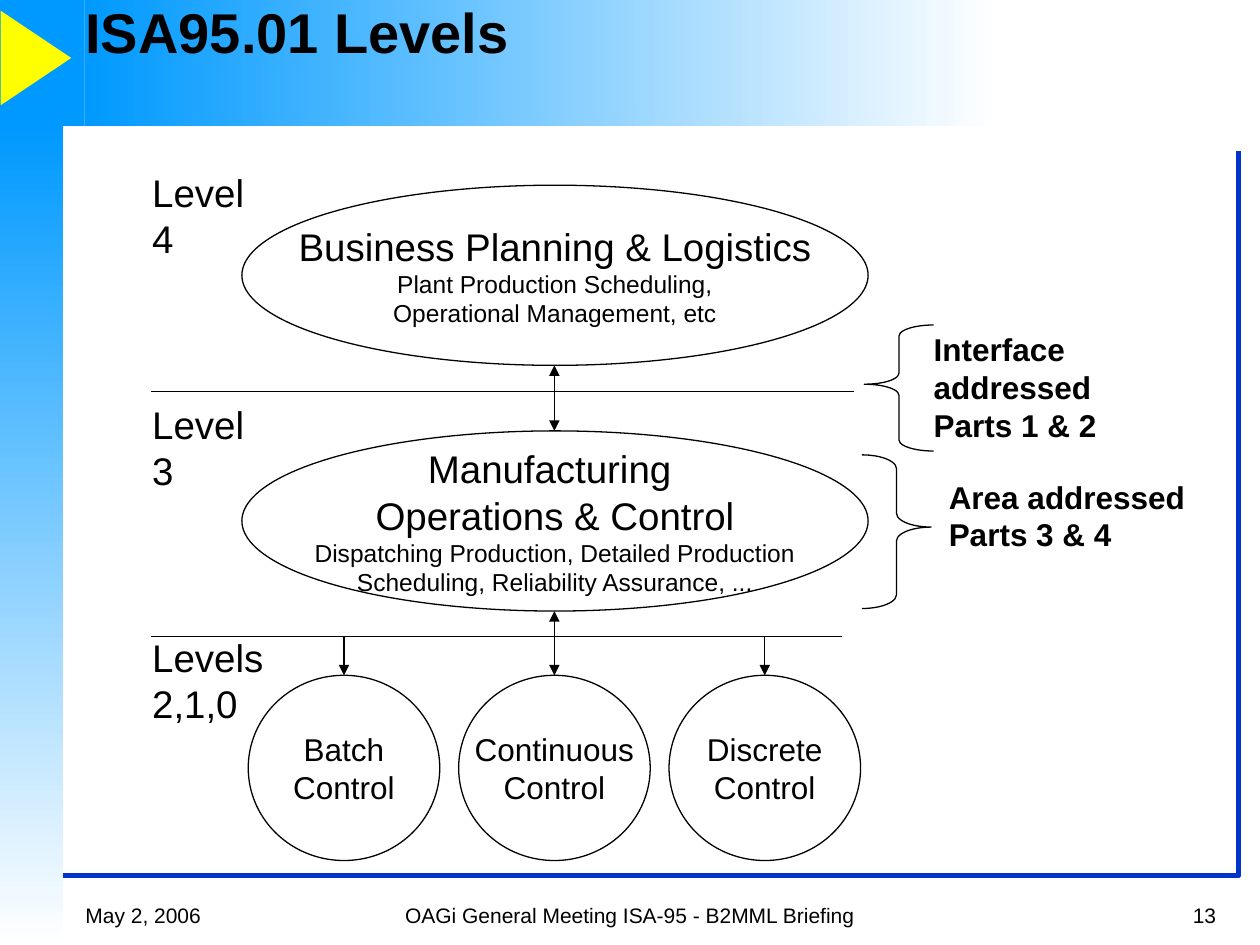
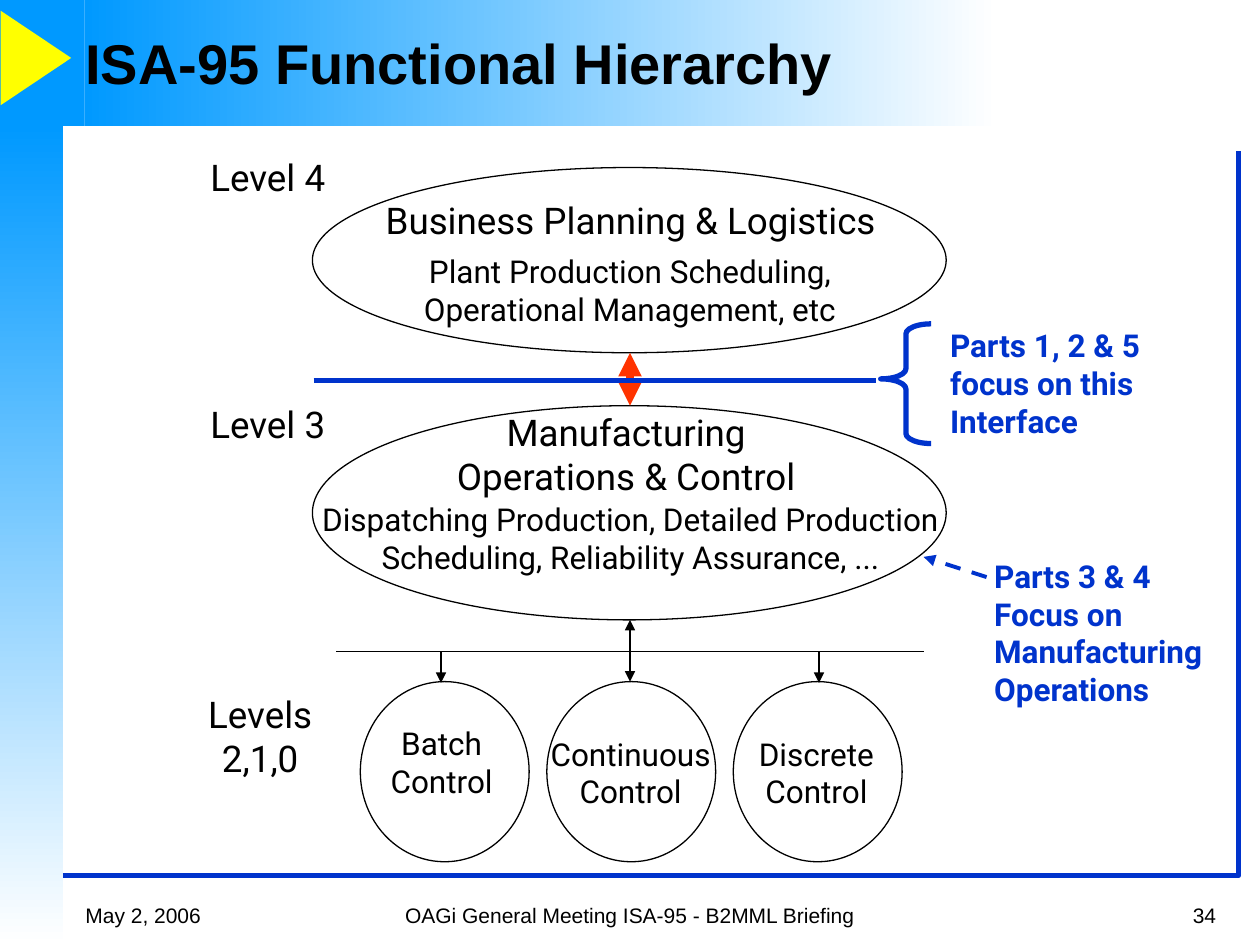
"""Build two slides on the ISA-95 functional levels."""
from lxml import etree
from pptx import Presentation
from pptx import util as u
from pptx.dml import color as dml_color
from pptx.enum import dml, shapes, text
from pptx.oxml import ns

Inches, Pt = u.Inches, u.Pt
color = dml_color.RGBColor.from_string
SHAPE, ALIGN, ANCHOR = shapes.MSO_SHAPE, text.PP_ALIGN, text.MSO_ANCHOR
BLACK, WHITE, SKY, BLUE, RED, YELLOW = "000000", "FFFFFF", "0099FF", "0033CC", "FF3300", "FFFF00"


def draw(slide, words, box, kind=None, fill=None, line=None, weight=0.75, detail="",
         size=18, detail_size=14, font="Arial", ink=BLACK, bold=False, align=ALIGN.LEFT,
         anchor=ANCHOR.TOP, insets=(0.1, 0.05), wrap=False):
    """Add a text box, or a preset shape when kind is given."""
    area = [Inches(length) for length in box]
    if kind is None:
        shape = slide.shapes.add_textbox(*area)
    else:
        shape = slide.shapes.add_shape(kind, *area)
        shape.shadow.inherit = False
        if fill:
            shape.fill.solid()
            shape.fill.fore_color.rgb = color(fill)
        else:
            shape.fill.background()
        if line:
            shape.line.color.rgb = color(line)
            shape.line.width = Pt(weight)
        else:
            shape.line.fill.background()
    if not words:
        return shape
    frame = shape.text_frame
    frame.word_wrap = wrap
    frame.vertical_anchor = anchor
    frame.margin_left = frame.margin_right = Inches(insets[0])
    frame.margin_top = frame.margin_bottom = Inches(insets[1])
    if kind is None and not wrap:
        frame.auto_size = text.MSO_AUTO_SIZE.SHAPE_TO_FIT_TEXT
    rows = [(row, size) for row in words.split("\n")]
    rows += [(row, detail_size) for row in detail.split("\n") if row]
    for index, (row, row_size) in enumerate(rows):
        paragraph = frame.add_paragraph() if index else frame.paragraphs[0]
        paragraph.alignment = align
        run = paragraph.add_run()
        run.text = row
        run.font.name, run.font.size, run.font.bold = font, Pt(row_size), bold
        run.font.color.rgb = color(ink)
    return shape


def connect(slide, start, end, ink=BLACK, weight=0.75, ends=(), dash=None):
    """Add a straight line with arrowheads at the named ends."""
    points = [Inches(length) for length in (*start, *end)]
    connector = slide.shapes.add_connector(shapes.MSO_CONNECTOR.STRAIGHT, *points)
    connector.line.color.rgb = color(ink)
    connector.line.width = Pt(weight)
    if dash:
        connector.line.dash_style = dash
    outline = connector.line._get_or_add_ln()
    for name in ends:
        etree.SubElement(outline, ns.qn(f"a:{name}"), type="triangle")
    etree.SubElement(connector._element.spPr, ns.qn("a:effectLst"))


BOTH, TAIL = ("headEnd", "tailEnd"), ("tailEnd",)
presentation = Presentation()
presentation.slide_width, presentation.slide_height = Inches(10), Inches(7.5)

titles = [
    ("ISA95.01 Levels", (0.58, 0, 7.33, 0.5), "13"),
    ("ISA-95 Functional Hierarchy", (0.58, 0.08, 7.33, 0.83), "34"),
]
bands = [
    ((7.67, 0, 2.33, 1.17), WHITE, None),
    ((0.67, 0, 7.25, 1), SKY, 0),
    ((0, 1, 0.5, 6.5), SKY, 270),
    ((9.75, 1.17, 0.25, 6.33), WHITE, None),
    ((0, 0, 0.67, 1), SKY, None),
]
for title, title_box, number in titles:
    slide = presentation.slides.add_slide(presentation.slide_layouts[6])
    for box, fill, angle in bands:
        band = draw(slide, "", box, SHAPE.RECTANGLE, fill=fill)
        if angle is not None:
            band.fill.gradient()
            band.fill.gradient_angle = angle
            for stop, position, shade in zip(band.fill.gradient_stops, (0, 1), (SKY, WHITE)):
                stop.position = position
                stop.color.rgb = color(shade)
    pointer = draw(slide, "", (-0.09, 0.18, 0.75, 0.56), SHAPE.ISOSCELES_TRIANGLE, fill=YELLOW)
    pointer.rotation = 90
    builder = slide.shapes.build_freeform(Inches(0.5), Inches(6.95))
    builder.add_line_segments(
        [(Inches(9.83), Inches(6.95)), (Inches(9.83), Inches(1.2))], close=False)
    border = builder.convert_to_shape()
    border.shadow.inherit = False
    border.fill.background()
    border.line.color.rgb = color(BLUE)
    border.line.width = Pt(3)
    draw(slide, title, title_box, size=32, bold=True, anchor=ANCHOR.MIDDLE,
         insets=(0.1, 0), wrap=True)
    for words, left, width, align in [
        ("May 2, 2006", 0.58, 2.08, ALIGN.LEFT),
        ("OAGi General Meeting ISA-95 - B2MML Briefing", 2.75, 4.5, ALIGN.CENTER),
        (number, 7.67, 2.08, ALIGN.RIGHT),
    ]:
        draw(slide, words, (left, 7.08, width, 0.33), size=12, align=align,
             anchor=ANCHOR.BOTTOM, wrap=True)

levels, hierarchy = presentation.slides
planning = "Plant Production Scheduling,\nOperational Management, etc"
dispatching = "Dispatching Production, Detailed Production\nScheduling, Reliability Assurance, ..."
controls = ["Batch\nControl", "Continuous\nControl", "Discrete\nControl"]

centered = dict(align=ALIGN.CENTER, anchor=ANCHOR.MIDDLE)
oval = dict(kind=SHAPE.OVAL, fill=WHITE, line=BLACK)
for words, detail, top in [
    ("Business Planning & Logistics", planning, 1.47),
    ("Manufacturing \nOperations & Control", dispatching, 3.42),
]:
    draw(levels, words, (1.92, top, 4.97, 1.43), detail=detail, size=22, **oval, **centered)
for index, words in enumerate(controls):
    draw(levels, words, (1.97 + 1.67 * index, 5.36, 1.52, 1.47), **oval, **centered)
for words, top, width, height in [
    ("Level 4", 1.29, 1.18, 0.47),
    ("Level 3", 3.13, 1.18, 0.47),
    ("Levels\n2,1,0", 4.98, 1.08, 0.83),
]:
    draw(levels, words, (1.11, top, width, height), size=22)
for start, end, ends in [
    ((1.2, 3.11), (6.78, 3.11), ()),
    ((1.2, 5.05), (6.68, 5.05), ()),
    ((4.4, 2.9), (4.4, 3.42), BOTH),
    ((4.4, 4.85), (4.4, 5.36), BOTH),
    ((2.73, 5.05), (2.73, 5.36), TAIL),
    ((6.07, 5.05), (6.07, 5.36), TAIL),
]:
    connect(levels, start, end, ends=ends)
for words, box in [
    ("Interface addressed\nParts 1 & 2", (7.32, 2.58, 2.54, 0.69)),
    ("Area addressed\nParts 3 & 4", (7.44, 3.75, 2.06, 0.69)),
]:
    draw(levels, words, box, bold=True, insets=(0.09, 0.04))

roboto = dict(font="Roboto", insets=(0, 0))
for box in [(2.48, 1.33, 5.03, 1.47), (2.48, 3.22, 5.03, 1.7)]:
    draw(hierarchy, "", box, **oval)
for index in range(3):
    draw(hierarchy, "", (2.86 + 1.48 * index, 5.41, 1.34, 1.43), **oval)
for words, box, size in [
    ("Business Planning & Logistics", (2.98, 1.57, 4.05, 0.35), 21),
    (planning, (3.24, 2, 3.52, 0.6), 18),
    ("Manufacturing\nOperations & Control", (3.51, 3.25, 2.92, 0.7), 21),
    (dispatching, (2.39, 3.97, 5.23, 0.6), 18),
    (controls[0], (3.07, 5.75, 0.87, 0.6), 18),
    (controls[1], (4.33, 5.83, 1.35, 0.6), 18),
    (controls[2], (6, 5.83, 0.96, 0.6), 18),
    ("Level 4", (1.65, 1.23, 0.95, 0.35), 21),
    ("Level 3", (1.65, 3.19, 0.95, 0.35), 21),
    ("Levels\n2,1,0", (1.64, 5.49, 0.85, 0.7), 21),
]:
    draw(hierarchy, words, box, size=size, align=ALIGN.CENTER, **roboto)
for words, box in [
    ("Parts 1, 2 & 5\nfocus on this\nInterface", (7.54, 2.59, 1.6, 0.9)),
    ("Parts 3 & 4\nFocus on\nManufacturing\nOperations", (7.89, 4.42, 1.88, 1.2)),
]:
    draw(hierarchy, words, box, ink=BLUE, bold=True, **roboto)
connect(hierarchy, (5, 2.8), (5, 3.22), ink=RED, weight=4.5, ends=BOTH)
connect(hierarchy, (2.49, 3.02), (6.95, 3.02), ink=BLUE, weight=3)
connect(hierarchy, (7.83, 4.58), (7.33, 4.42), ink=BLUE, weight=2.25, ends=TAIL,
        dash=dml.MSO_LINE.DASH)
connect(hierarchy, (2.67, 5.17), (7.33, 5.17))
connect(hierarchy, (5, 4.92), (5, 5.41), ends=BOTH)
for x in (3.5, 6.5):
    connect(hierarchy, (x, 5.17), (x, 5.42), ends=TAIL)

for slide, kind, box, ink, weight, curve, tip in [
    (levels, SHAPE.LEFT_BRACE, (6.86, 2.58, 0.55, 1), BLACK, 0.75, 0.16, 0.47),
    (levels, SHAPE.RIGHT_BRACE, (6.84, 3.61, 0.55, 1.22), BLACK, 0.75, 0.2, 0.47),
    (hierarchy, SHAPE.LEFT_BRACE, (6.99, 2.57, 0.4, 0.95), BLUE, 3, 0.2, 0.46),
]:
    brace = draw(slide, "", box, kind, line=ink, weight=weight)
    brace.adjustments[0], brace.adjustments[1] = curve, tip

presentation.save("out.pptx")
